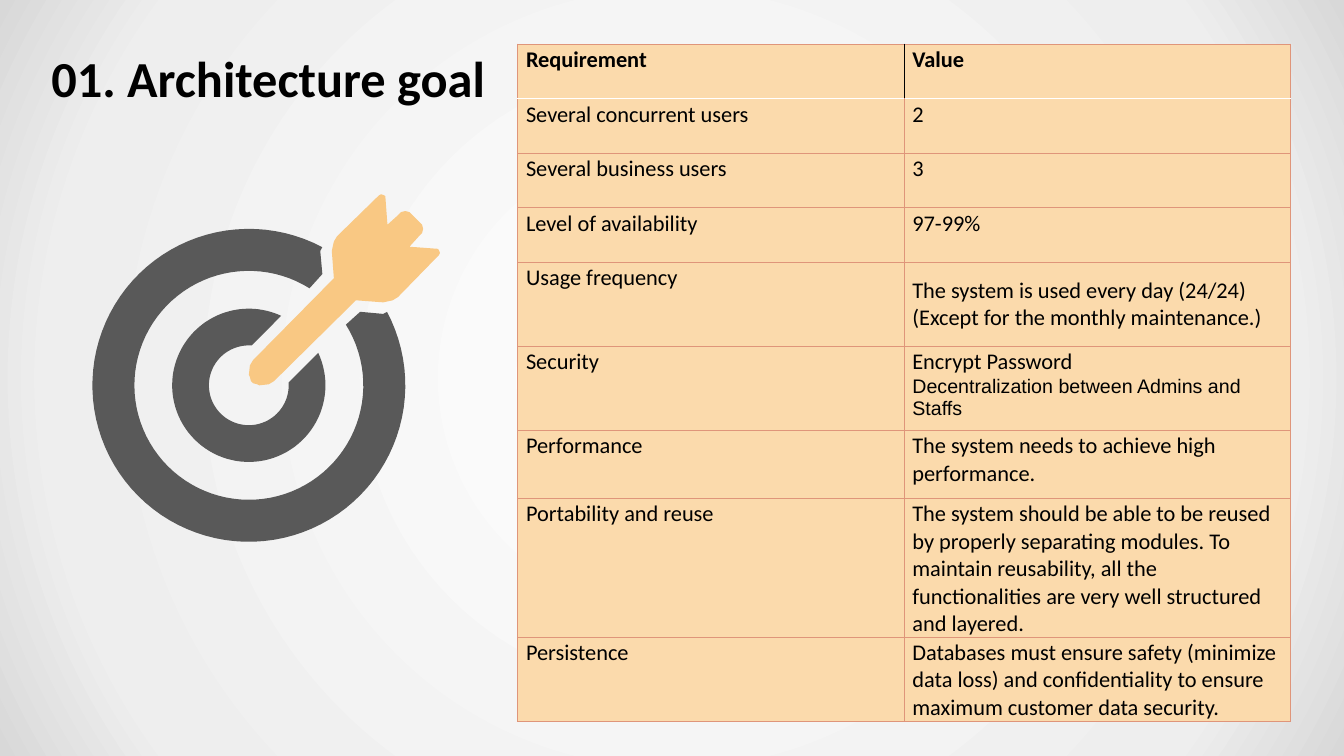
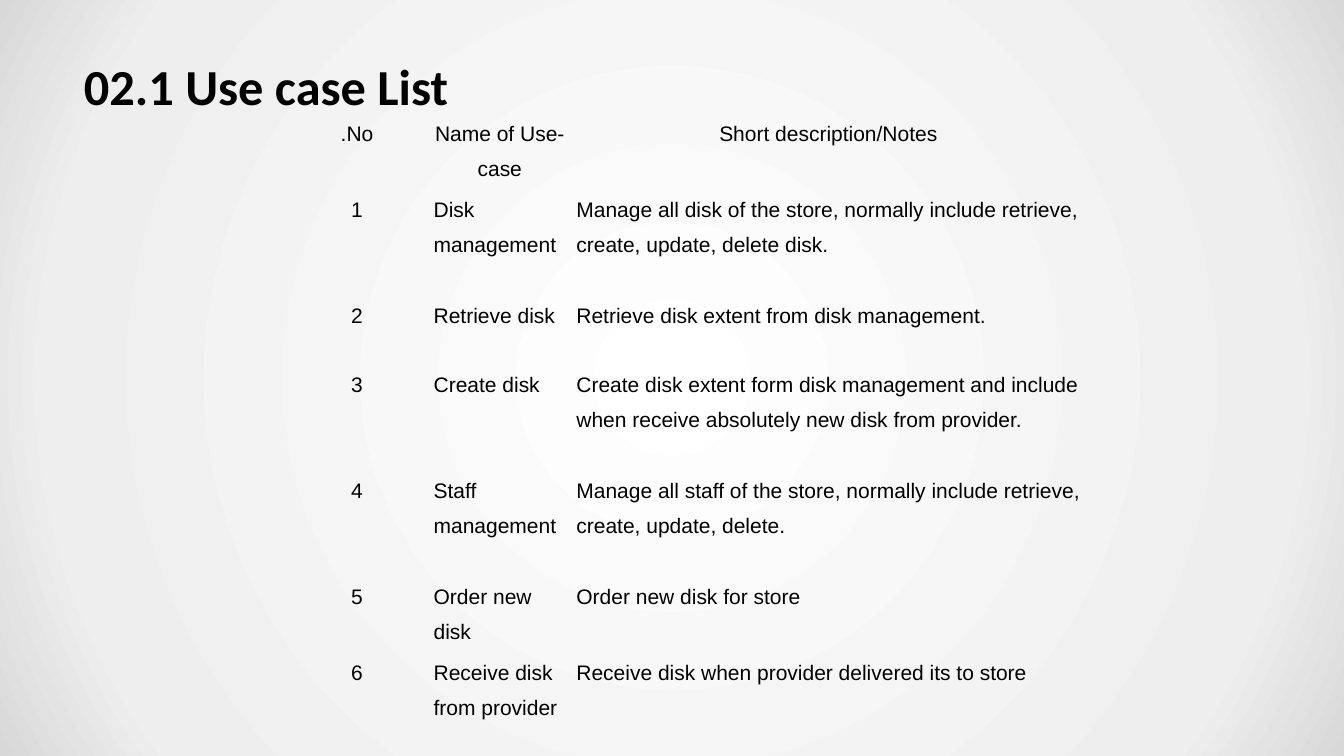
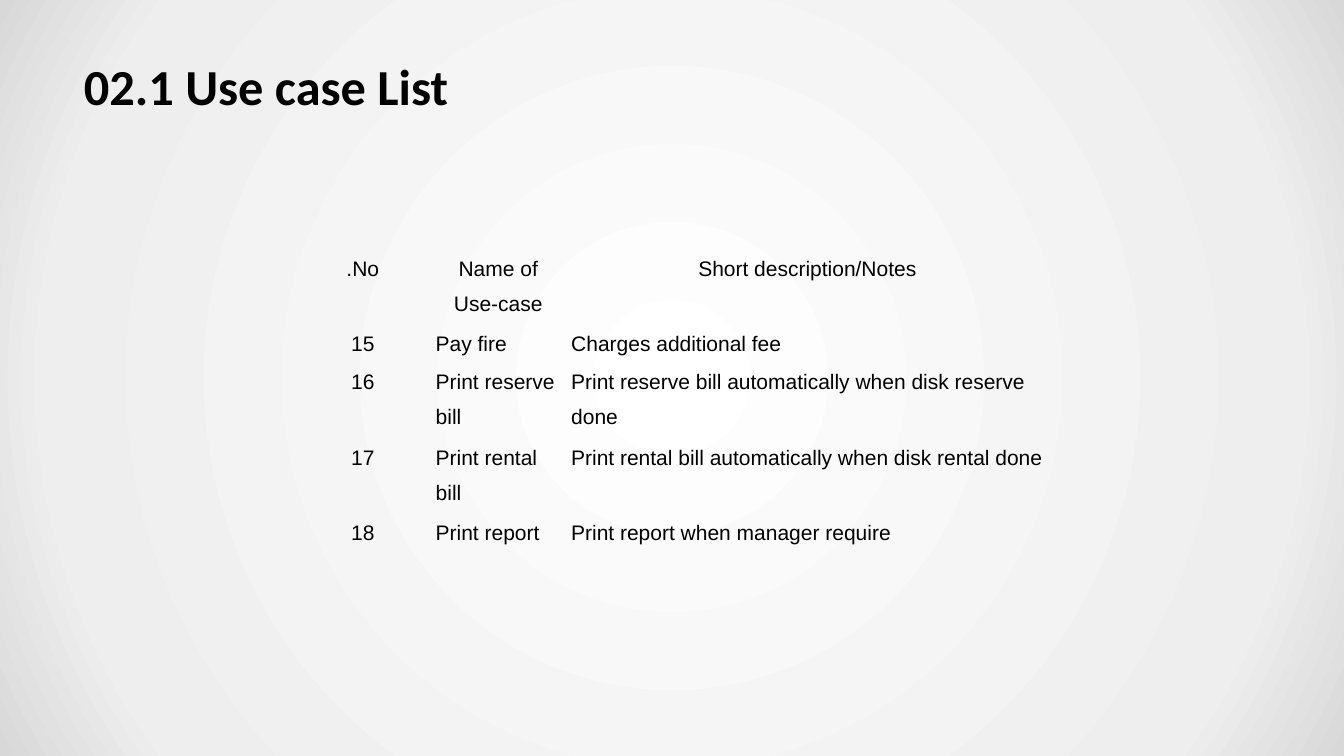
from dataclasses import dataclass
from math import cos, radians, sin

from lxml.etree import SubElement
from pptx import Presentation
from pptx.dml.color import RGBColor
from pptx.enum.text import MSO_ANCHOR, PP_ALIGN
from pptx.oxml import parse_xml
from pptx.oxml.ns import nsdecls, qn
from pptx.util import Emu, Pt

EMU_PER_PX = 9525
SLIDE_SIZE = (1280, 720)
NO_STYLE_NO_GRID = "{2D5ABB26-0587-4C30-8999-92F81FD0307C}"


@dataclass(frozen=True)
class TextStyle:
    """Font, size and weight of one kind of text."""
    font: str
    size: int
    bold: bool = False


@dataclass(frozen=True)
class Theme:
    """Colours and type sizes shared by all slides."""
    text: str = "000000"
    cell: str = "FBDAAC"
    border: str = "DF957A"
    header_rule: str = "FFFFFF"
    header_divider: str = "000000"
    border_width: float = 0.75
    target: str = "595959"
    dart: str = "F9C883"
    background: tuple = ((0, "FFFFFF"), (81, "EEEEEE"), (100, "D8D8D8"))
    title: TextStyle = TextStyle("Calibri", 36, True)
    header: TextStyle = TextStyle("Calibri", 16, True)
    body: TextStyle = TextStyle("Calibri", 16)
    detail: TextStyle = TextStyle("Arial", 14)
    use_case: TextStyle = TextStyle("Arial", 15)


THEME = Theme()

REQUIREMENTS = [
    (52, "Requirement", ["Value"]),
    (52, "Several concurrent users", ["2"]),
    (52, "Several business users", ["3"]),
    (52, "Level of availability", ["97-99%"]),
    (80, "Usage frequency",
     ["The system is used every day (24/24) (Except for the monthly maintenance.)"]),
    (80, "Security", ["Encrypt Password", "Decentralization between Admins and Staffs"]),
    (65, "Performance", ["The system needs to achieve high performance."]),
    (80, "Portability and reuse",
     ["The system should be able to be reused by properly separating modules. "
      "To maintain reusability, all the functionalities are very well structured and layered."]),
    (80, "Persistence",
     ["Databases must ensure safety (minimize data loss) and confidentiality "
      "to ensure maximum customer data security."]),
]
CENTRED_REQUIREMENTS = ("Usage frequency", "Portability and reuse")

USE_CASE_HEADER = (".No", "Name of Use-case", "Short description/Notes")
STORE_USE_CASES = [
    (66, *USE_CASE_HEADER),
    (101, "1", "Disk management",
     "Manage all disk of the store, normally include retrieve, create, update, delete disk."),
    (66, "2", "Retrieve disk", "Retrieve disk extent from disk management."),
    (101, "3", "Create disk",
     "Create disk extent form disk management and include when receive "
     "absolutely new disk from provider."),
    (101, "4", "Staff management",
     "Manage all staff of the store, normally include retrieve, create, update, delete."),
    (66, "5", "Order new disk", "Order new disk for store"),
    (101, "6", "Receive disk from provider",
     "Receive disk when provider delivered its to store"),
]
PRINT_USE_CASES = [
    (14, *USE_CASE_HEADER),
    (14, "15", "Pay fire", "Charges additional fee"),
    (31, "16", "Print reserve bill", "Print reserve bill automatically when disk reserve done"),
    (31, "17", "Print rental bill", "Print rental bill automatically when disk rental done"),
    (14, "18", "Print report", "Print report when manager require"),
]

OUTER_NOTCH = [(68, -128), (70, -106)]
DART_HALF = [
    (2, -4), (1, -8), (0, -10), (1, -19), (4, -24), (81, -102), (79, -128),
    (81, -137), (84, -142), (124, -181), (126, -182), (129, -181), (130, -180),
    (132, -153), (142, -162), (145, -165), (149, -166), (153, -165), (156, -162),
]


def px(length):
    """Turn pixels into EMU."""
    return Emu(round(length * EMU_PER_PX))


def set_background(presentation):
    """Give the slide master the shared radial gradient."""
    stops = "".join(
        f'<a:gs pos="{position * 1000}"><a:srgbClr val="{colour}"/></a:gs>'
        for position, colour in THEME.background)
    common = presentation.slide_master.element.find(qn("p:cSld"))
    previous = common.find(qn("p:bg"))
    if previous is not None:
        common.remove(previous)
    common.insert(0, parse_xml(
        f'<p:bg {nsdecls("p", "a")}><p:bgPr><a:gradFill rotWithShape="1">'
        f'<a:gsLst>{stops}</a:gsLst><a:path path="circle">'
        '<a:fillToRect l="50000" t="50000" r="50000" b="50000"/></a:path>'
        '</a:gradFill><a:effectLst/></p:bgPr></p:bg>'))


def add_run(paragraph, text, style):
    """Add one styled run to a paragraph."""
    run = paragraph.add_run()
    run.text = text
    run.font.name = style.font
    run.font.size = Pt(style.size)
    run.font.bold = style.bold
    run.font.color.rgb = RGBColor.from_string(THEME.text)


def set_margins(target, horizontal, vertical):
    """Set the inner margins of a cell or text frame."""
    target.margin_left = target.margin_right = px(horizontal)
    target.margin_top = target.margin_bottom = px(vertical)


def add_title(slide, left, top, text):
    """Place the slide title."""
    shape = slide.shapes.add_textbox(px(left), px(top), px(1152), px(75))
    frame = shape.text_frame
    frame.word_wrap = True
    frame.vertical_anchor = MSO_ANCHOR.MIDDLE
    set_margins(frame, 0, 7)
    add_run(frame.paragraphs[0], text, THEME.title)


def add_plain_table(slide, left, top, widths, heights):
    """Add a table without built-in style and return it."""
    shape = slide.shapes.add_table(
        len(heights), len(widths), px(left), px(top), px(sum(widths)), px(sum(heights)))
    table = shape.table
    table.first_row = table.horz_banding = False
    shape.element.find(".//" + qn("a:tableStyleId")).text = NO_STYLE_NO_GRID
    for column, width in zip(table.columns, widths):
        column.width = px(width)
    for row, height in zip(table.rows, heights):
        row.height = px(height)
    return table


def set_borders(cell, **changes):
    """Draw the four borders of a cell, with colour changes by side."""
    properties = cell._tc.get_or_add_tcPr()
    for side in "LRTB":
        line = SubElement(properties, qn("a:ln" + side), w=str(Pt(THEME.border_width)))
        fill = SubElement(line, qn("a:solidFill"))
        SubElement(fill, qn("a:srgbClr"), val=changes.get(side, THEME.border))


def add_requirement_table(slide, left, top, requirements):
    """Place the two-column table of requirements and values."""
    table = add_plain_table(
        slide, left, top, (368, 368), [height for height, *_ in requirements])
    for row, (_, name, values) in enumerate(requirements):
        for column, lines in enumerate(([name], values)):
            cell = table.cell(row, column)
            changes = {}
            if row == 0:
                changes = {"B": THEME.header_rule, "RL"[column]: THEME.header_divider}
            elif row == 1:
                changes = {"T": THEME.header_rule}
            set_borders(cell, **changes)
            cell.fill.solid()
            cell.fill.fore_color.rgb = RGBColor.from_string(THEME.cell)
            set_margins(cell, 8, 2)
            if column == 1 and name in CENTRED_REQUIREMENTS:
                cell.vertical_anchor = MSO_ANCHOR.MIDDLE
            for index, line in enumerate(lines):
                frame = cell.text_frame
                paragraph = frame.add_paragraph() if index else frame.paragraphs[0]
                style = THEME.detail if index else THEME.body
                add_run(paragraph, line, style if row else THEME.header)


def add_use_case_table(slide, left, top, widths, use_cases):
    """Place a borderless list of use cases."""
    table = add_plain_table(slide, left, top, widths, [height for height, *_ in use_cases])
    for row, (_, *texts) in enumerate(use_cases):
        for column, text in enumerate(texts):
            cell = table.cell(row, column)
            cell.fill.background()
            set_margins(cell, 5, 0)
            paragraph = cell.text_frame.paragraphs[0]
            centred = row == 0 or column == 0
            paragraph.alignment = PP_ALIGN.CENTER if centred else PP_ALIGN.LEFT
            paragraph.line_spacing = 1.5
            add_run(paragraph, text, THEME.use_case)


def mirror(points):
    """Reflect points across the rising diagonal, in reverse order."""
    return [(-y, -x) for x, y in reversed(points)]


def arc(radius, half_gap):
    """List points clockwise around a circle that is open at the upper right."""
    start, sweep, steps = half_gap - 45, 360 - 2 * half_gap, 90
    angles = [radians(start + sweep * step / steps) for step in range(steps + 1)]
    return [(radius * cos(angle), radius * sin(angle)) for angle in angles]


def ring(outer, inner, notch):
    """Outline an open ring from two (radius, half gap) pairs and half a notch."""
    return arc(*outer) + notch + arc(*inner)[::-1] + mirror(notch)


def add_target(slide, center_x, center_y):
    """Place a target hit by a dart around its centre."""
    group = slide.shapes.add_group_shape()
    outlines = [
        (ring((149, 17), (109, 13), OUTER_NOTCH), THEME.target),
        (ring((73, 20), (38, 41), []), THEME.target),
        (DART_HALF + mirror(DART_HALF), THEME.dart),
    ]
    for outline, colour in outlines:
        points = [(px(center_x + x), px(center_y + y)) for x, y in outline]
        builder = group.shapes.build_freeform(*points[0], scale=1.0)
        builder.add_line_segments(points[1:], close=True)
        shape = builder.convert_to_shape()
        shape.shadow.inherit = False
        shape.fill.solid()
        shape.fill.fore_color.rgb = RGBColor.from_string(colour)
        shape.line.fill.background()


def build_goal_slide(slide):
    """Build the architecture goal slide."""
    add_title(slide, 49, 36, "01. Architecture goal")
    add_requirement_table(slide, 493, 42, REQUIREMENTS)
    add_target(slide, 237, 367)


def build_use_case_slide(slide, left, top, widths, use_cases):
    """Build one use case list slide."""
    add_title(slide, 80, 44, "02.1 Use case List")
    add_use_case_table(slide, left, top, widths, use_cases)


def main():
    """Build and save the presentation."""
    presentation = Presentation()
    presentation.slide_width, presentation.slide_height = map(px, SLIDE_SIZE)
    set_background(presentation)
    blank = presentation.slide_layouts[6]
    build_goal_slide(presentation.slides.add_slide(blank))
    build_use_case_slide(
        presentation.slides.add_slide(blank), 272, 106, (136, 136, 490), STORE_USE_CASES)
    build_use_case_slide(
        presentation.slides.add_slide(blank), 281, 234, (129, 129, 460), PRINT_USE_CASES)
    presentation.save("out.pptx")


if __name__ == "__main__":
    main()
